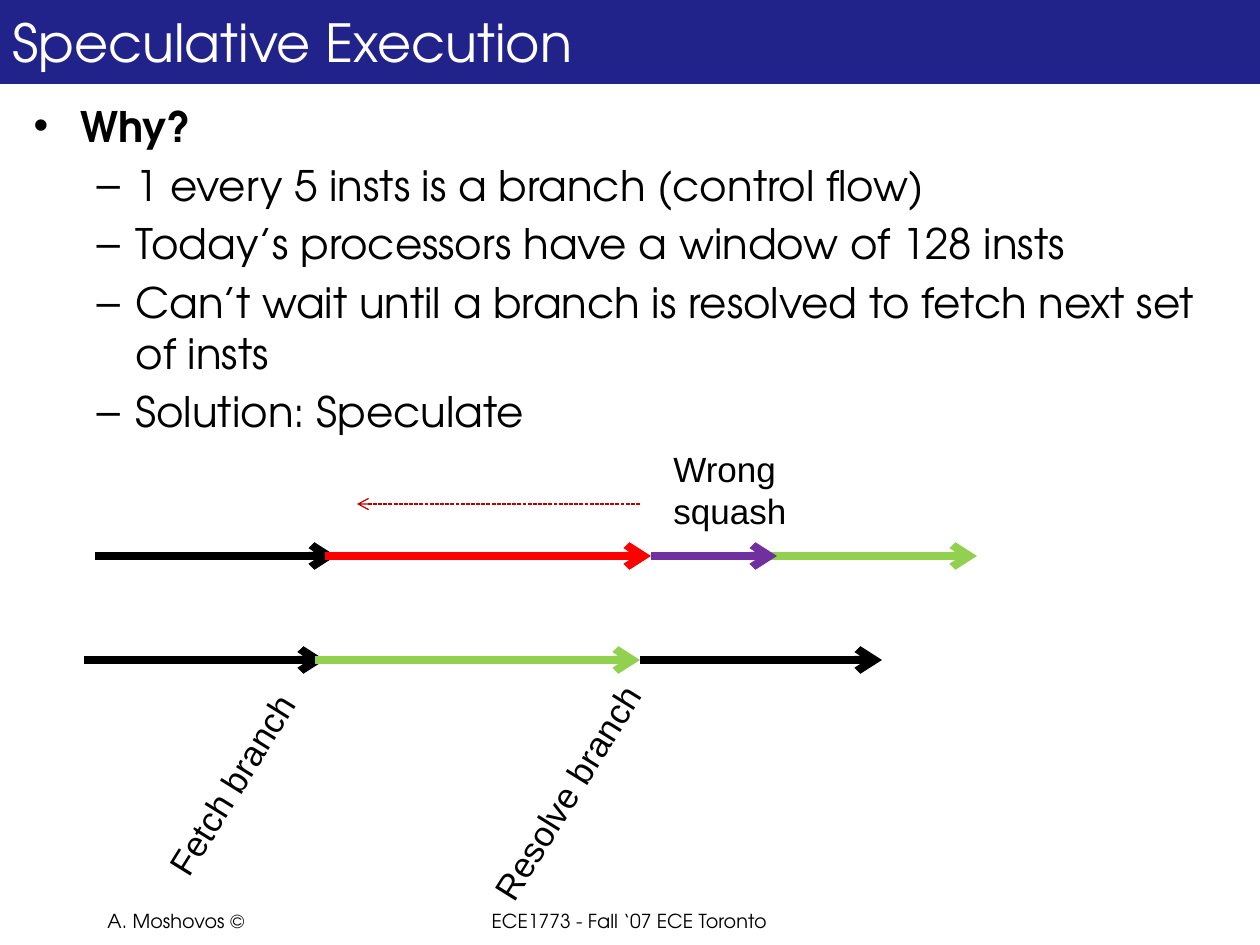
import dataclasses

import lxml.etree
import pptx
import pptx.dml.color
import pptx.enum.dml
import pptx.enum.shapes
import pptx.enum.text
import pptx.oxml
import pptx.oxml.ns
import pptx.util

EMU_PER_PX = 914400 / 126


@dataclasses.dataclass(frozen=True)
class Theme:
    heading_font: str = "TeX Gyre Adventor"
    label_font: str = "Arial"
    title_size: int = 30
    body_size: int = 24
    label_size: int = 20
    footer_size: int = 11
    arrow_width: float = 4.5
    squash_width: float = 0.75
    white: str = "FFFFFF"
    black: str = "000000"
    navy: str = "22228B"
    red: str = "FF0000"
    dark_red: str = "C00000"
    green: str = "92D050"
    purple: str = "7030A0"


THEME = Theme()

REASONS = [
    "1 every 5 insts is a branch (control flow)",
    "Today’s processors have a window of 128 insts",
    "Can’t wait until a branch is resolved to fetch next set of insts",
    "Solution: Speculate",
]

# Each timeline: height, then (start, end, colour) of its stages, back to front
TIMELINES = [
    (660, [(84, 325, THEME.black), (315, 640, THEME.green),
           (640, 882, THEME.black)]),
    (556, [(95, 336, THEME.black), (325, 651, THEME.red),
           (725, 977, THEME.green), (651, 777, THEME.purple)]),
]


def px(length):
    return pptx.util.Emu(round(length * EMU_PER_PX))


def rgb(color):
    return pptx.dml.color.RGBColor.from_string(color)


def place(shape, left, top, width, height):
    shape.left, shape.top = px(left), px(top)
    shape.width, shape.height = px(width), px(height)


def add_span(para, text, font, size, color, bold=False):
    span = para.add_run()
    span.text = text
    span.font.name = font
    span.font.size = pptx.util.Pt(size)
    span.font.bold = bold
    span.font.color.rgb = rgb(color)


def set_bullet(para, symbol, margin, hanging):
    props = para._p.get_or_add_pPr()
    props.set("marL", str(px(margin)))
    props.set("indent", str(-px(hanging)))
    for tag, name, value in (("a:buFont", "typeface", THEME.label_font),
                             ("a:buChar", "char", symbol)):
        element = lxml.etree.SubElement(props, pptx.oxml.ns.qn(tag))
        element.set(name, value)


def fill_title(page):
    title = page.shapes.title
    place(title, 0, 0, 1260, 84)
    title.fill.solid()
    title.fill.fore_color.rgb = rgb(THEME.navy)
    frame = title.text_frame
    frame.auto_size = pptx.enum.text.MSO_AUTO_SIZE.NONE
    frame.vertical_anchor = pptx.enum.text.MSO_ANCHOR.MIDDLE
    para = frame.paragraphs[0]
    para.alignment = pptx.enum.text.PP_ALIGN.LEFT
    add_span(para, "Speculative Execution", THEME.heading_font,
             THEME.title_size, THEME.white)


def fill_body(page):
    body = page.placeholders[1]
    place(body, 21, 94, 1218, 357)
    frame = body.text_frame
    frame.auto_size = pptx.enum.text.MSO_AUTO_SIZE.NONE
    for index, text in enumerate(["Why?"] + REASONS):
        heading = index == 0
        para = frame.paragraphs[0] if heading else frame.add_paragraph()
        para.level = 0 if heading else 1
        para.space_before = pptx.util.Pt(0.2 * THEME.body_size)
        if heading:
            set_bullet(para, "•", 47, 47)
        else:
            set_bullet(para, "–", 102, 39)
        add_span(para, text, THEME.heading_font, THEME.body_size,
                 THEME.black, bold=heading)


def add_footer(page, text, left, width, alignment):
    box = page.shapes.add_textbox(px(left), px(903), px(width), px(53))
    box.text_frame.word_wrap = True
    para = box.text_frame.paragraphs[0]
    para.alignment = alignment
    add_span(para, text, THEME.heading_font, THEME.footer_size, THEME.black)


def add_label(page, lines, left, top, width, height, rotation=0):
    box = page.shapes.add_textbox(px(left), px(top), px(width), px(height))
    box.rotation = rotation
    frame = box.text_frame
    frame.word_wrap = False
    frame.auto_size = pptx.enum.text.MSO_AUTO_SIZE.SHAPE_TO_FIT_TEXT
    for index, text in enumerate(lines):
        para = frame.add_paragraph() if index else frame.paragraphs[0]
        add_span(para, text, THEME.label_font, THEME.label_size, THEME.black)


def add_arrow(page, start, end, height, color, width, dash=None):
    arrow = page.shapes.add_connector(
        pptx.enum.shapes.MSO_CONNECTOR.STRAIGHT,
        px(start), px(height), px(end), px(height))
    arrow.line.color.rgb = rgb(color)
    arrow.line.width = pptx.util.Pt(width)
    if dash is not None:
        arrow.line.dash_style = dash
    outline = arrow.line._get_or_add_ln()
    head = lxml.etree.SubElement(outline, pptx.oxml.ns.qn("a:tailEnd"))
    head.set("type", "arrow")
    lxml.etree.SubElement(arrow._element.spPr,
                          pptx.oxml.ns.qn("a:effectLst"))


def main():
    deck = pptx.Presentation()
    deck.slide_width, deck.slide_height = px(1260), px(945)
    page = deck.slides.add_slide(deck.slide_layouts[1])

    fill_title(page)
    fill_body(page)
    align = pptx.enum.text.PP_ALIGN
    add_footer(page, "A. Moshovos ©", 95, 262, align.LEFT)
    add_footer(page, "ECE1773 - Fall ‘07 ECE Toronto", 409, 441, align.CENTER)

    for height, stages in TIMELINES:
        for start, end, color in stages:
            add_arrow(page, start, end, height, color, THEME.arrow_width)
    add_label(page, ["Fetch branch"], 116, 756, 232, 55, rotation=301.9)
    add_label(page, ["Resolve branch"], 432, 764, 271, 55, rotation=301.9)
    add_label(page, ["Wrong", "squash"], 661, 441, 140, 97)
    add_arrow(page, 640, 357, 504, THEME.dark_red, THEME.squash_width,
              pptx.enum.dml.MSO_LINE.SQUARE_DOT)

    deck.save("out.pptx")


if __name__ == "__main__":
    main()
